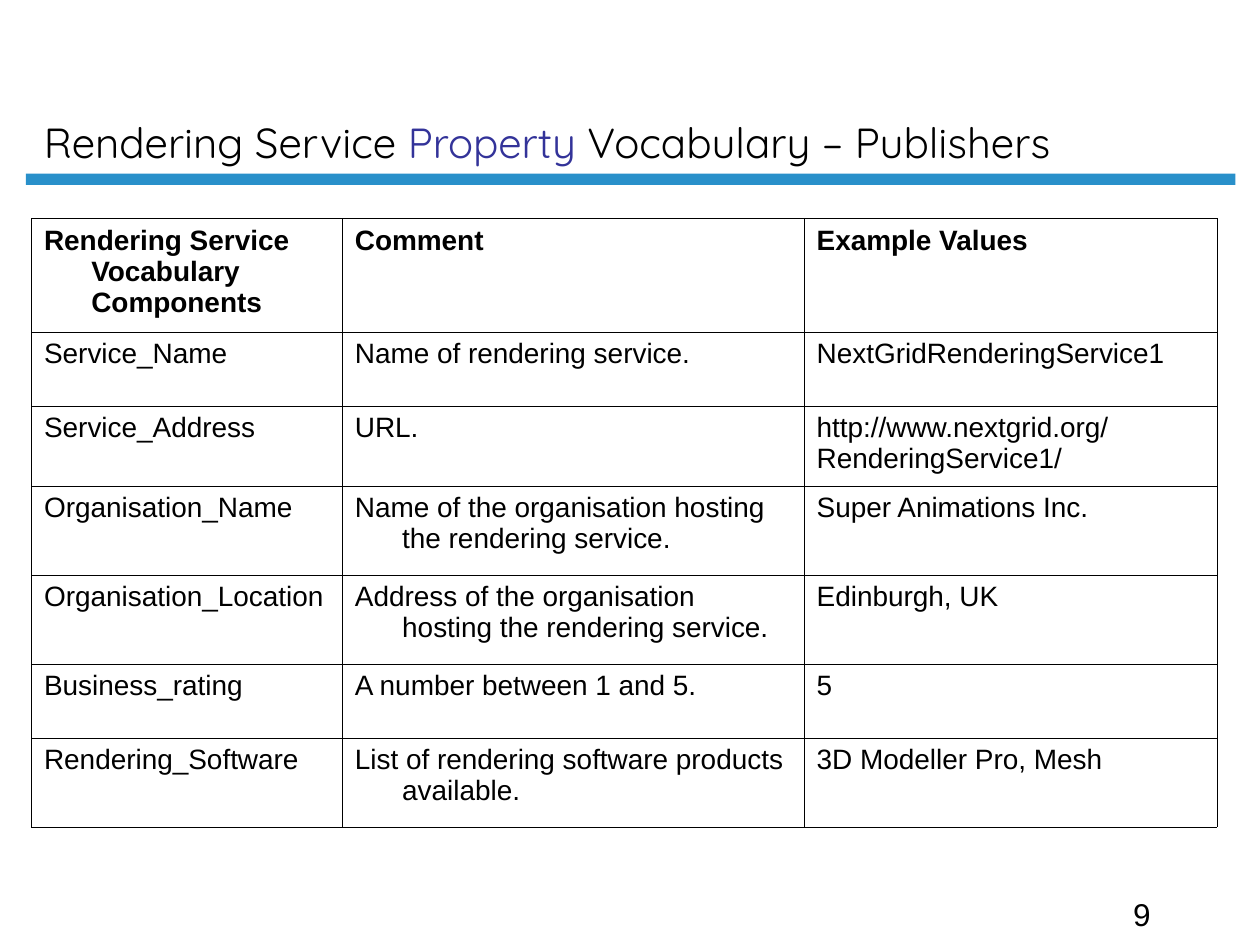
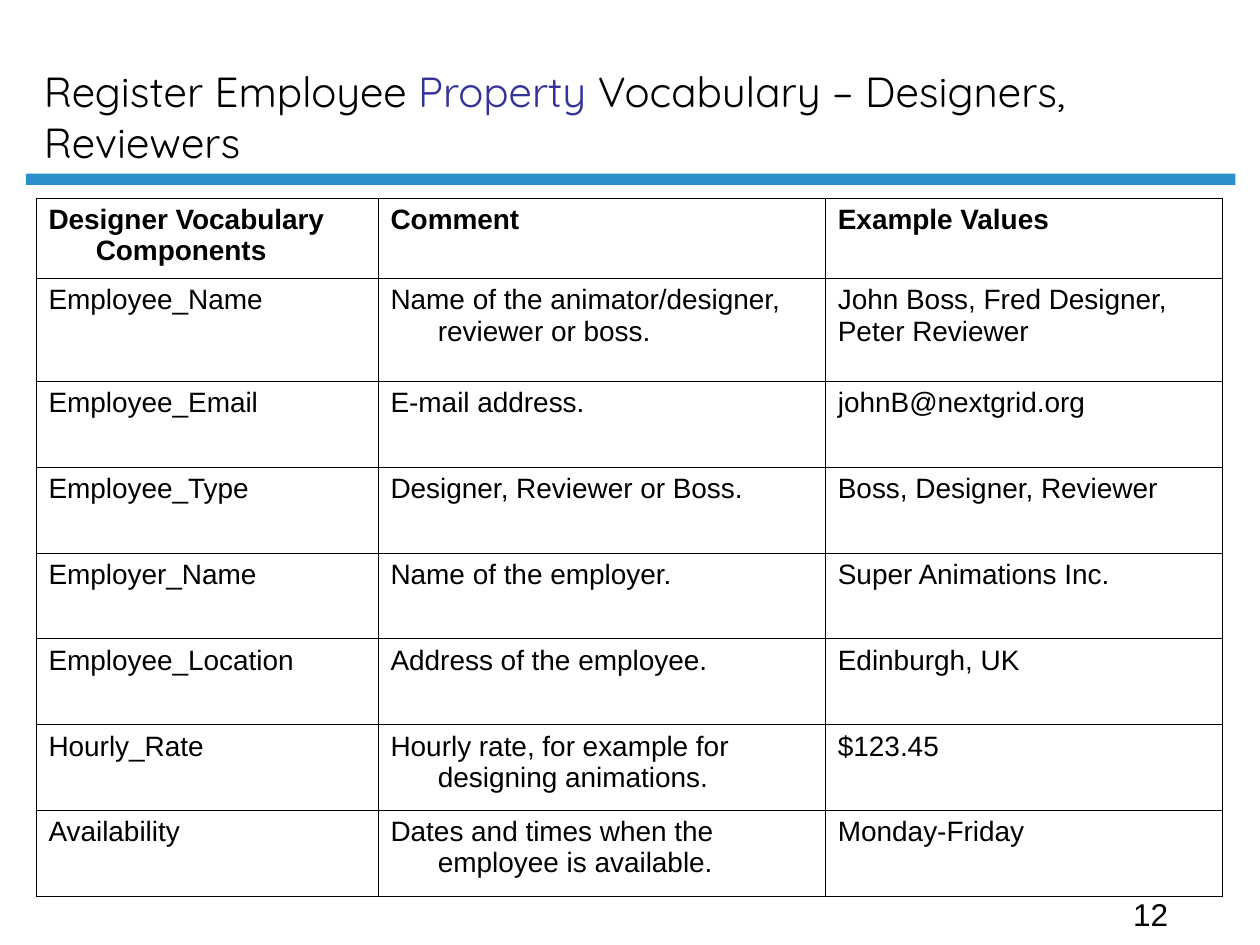
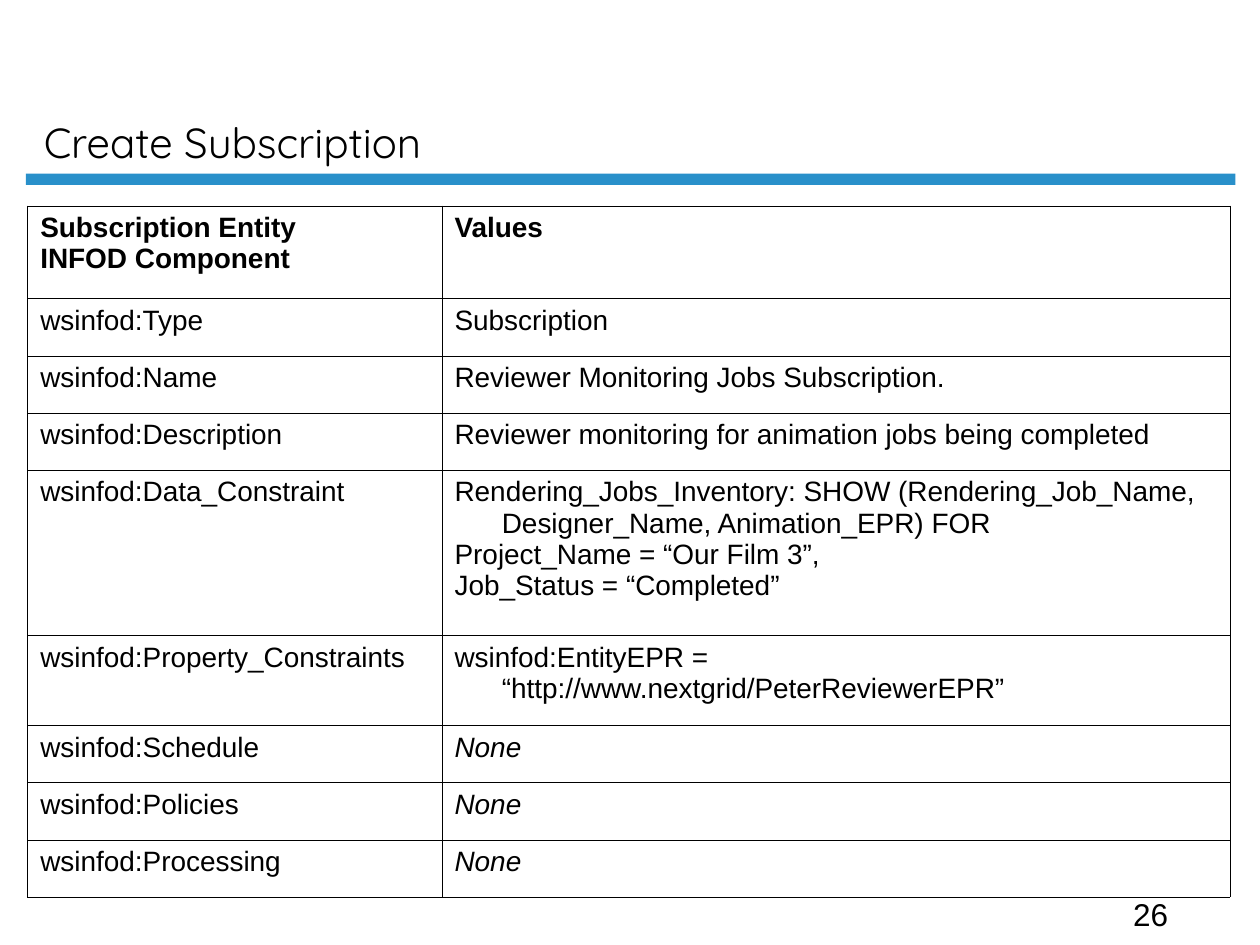
from dataclasses import dataclass

from pptx import Presentation
from pptx.dml.color import RGBColor
from pptx.enum.shapes import MSO_SHAPE
from pptx.enum.text import MSO_ANCHOR
from pptx.oxml import parse_xml
from pptx.oxml.ns import nsdecls
from pptx.util import Inches, Pt


@dataclass(frozen=True)
class Theme:
    ink: str = "000000"
    accent: str = "333399"
    band: str = "2990CA"
    title_font: str = "Quicksand"
    body_font: str = "Arial"
    title_size: float = 24
    body_size: float = 16
    number_size: float = 18
    border: float = 0.45
    hanging: float = 3.75


THEME = Theme()

# The slide is a grid of 100 columns by 75 rows of square units
COLUMNS, ROWS = 100, 75
UNIT = Inches(0.1)


def grid(*units):
    return [round(unit * UNIT) for unit in units]


def set_font(font, face, size, color=THEME.ink):
    font.name = face
    font.size = Pt(size)
    font.color.rgb = RGBColor.from_string(color)


# Shared frame: title, band and page number
def add_text_area(slide, place, anchor=MSO_ANCHOR.TOP):
    frame = slide.shapes.add_textbox(*grid(*place)).text_frame
    frame.word_wrap = True
    frame.vertical_anchor = anchor
    return frame.paragraphs[0]


def add_title(slide, title, keyword):
    heading = add_text_area(slide, (2.5, 1.2, 85.6, 12.5), MSO_ANCHOR.BOTTOM)
    set_font(heading.font, THEME.title_font, THEME.title_size)
    before, found, after = title.partition(keyword) if keyword else (title, "", "")
    for words in filter(None, (before, found, after)):
        run = heading.add_run()
        run.text = words
        color = THEME.accent if words == keyword else THEME.ink
        set_font(run.font, THEME.title_font, THEME.title_size, color)


def add_band(slide):
    band = slide.shapes.add_shape(
        MSO_SHAPE.RECTANGLE, *grid(2.05, 13.77, COLUMNS - 4, 0.9))
    band.shadow.inherit = False
    band.fill.solid()
    band.fill.fore_color.rgb = RGBColor.from_string(THEME.band)
    band.line.fill.background()


def add_page_number(slide, number):
    page = add_text_area(slide, (88.95, ROWS - 4.45, 10, 4))
    page.text = str(number)
    set_font(page.font, THEME.body_font, THEME.number_size)


# Tables
def draw_borders(cell):
    properties = cell._tc.get_or_add_tcPr()
    for position, side in enumerate("LRTB"):
        properties.insert(position, parse_xml(
            f'<a:ln{side} {nsdecls("a")} w="{Pt(THEME.border)}">'
            f'<a:solidFill><a:srgbClr val="{THEME.ink}"/></a:solidFill>'
            f'</a:ln{side}>'))


def fill_cell(cell, text, bold, hanging):
    cell.fill.background()
    draw_borders(cell)
    cell.text = text
    for paragraph in cell.text_frame.paragraphs:
        if hanging:
            indent, = grid(THEME.hanging)
            properties = paragraph._p.get_or_add_pPr()
            properties.set("marL", str(indent))
            properties.set("indent", str(-indent))
        set_font(paragraph.font, THEME.body_font, THEME.body_size)
        paragraph.font.bold = bold
        paragraph.font.italic = text == "None"


def add_vocabulary(slide, corner, widths, heights, entries, plain_column=None):
    place = grid(*corner, sum(widths), sum(heights))
    table = slide.shapes.add_table(len(heights), len(widths), *place).table
    table.first_row = table.horz_banding = False
    for column, width in zip(table.columns, grid(*widths)):
        column.width = width
    for row, height in zip(table.rows, grid(*heights)):
        row.height = height
    for r, entry in enumerate(entries):
        for c, text in enumerate(entry):
            header = r == 0
            fill_cell(table.cell(r, c), text, header, header or c != plain_column)


# Content
RENDERING_SERVICE = [
    ("Rendering Service Vocabulary Components", "Comment", "Example Values"),
    ("Service_Name", "Name of rendering service.", "NextGridRenderingService1"),
    ("Service_Address", "URL.", "http://www.nextgrid.org/RenderingService1/"),
    ("Organisation_Name", "Name of the organisation hosting the rendering service.",
     "Super Animations Inc."),
    ("Organisation_Location",
     "Address of the organisation hosting the rendering service.", "Edinburgh, UK"),
    ("Business_rating", "A number between 1 and 5.", "5"),
    ("Rendering_Software", "List of rendering software products available.",
     "3D Modeller Pro, Mesh"),
]

EMPLOYEE = [
    ("Designer Vocabulary Components", "Comment", "Example Values"),
    ("Employee_Name", "Name of the animator/designer, reviewer or boss.",
     "John Boss, Fred Designer, Peter Reviewer"),
    ("Employee_Email", "E-mail address.", "johnB@nextgrid.org"),
    ("Employee_Type", "Designer, Reviewer or Boss.", "Boss, Designer, Reviewer"),
    ("Employer_Name", "Name of the employer.", "Super Animations Inc."),
    ("Employee_Location", "Address of the employee.", "Edinburgh, UK"),
    ("Hourly_Rate", "Hourly rate, for example for designing animations.", "$123.45"),
    ("Availability", "Dates and times when the employee is available.",
     "Monday-Friday"),
]

SUBSCRIPTION = [
    ("Subscription Entity\nINFOD Component", "Values"),
    ("wsinfod:Type", "Subscription"),
    ("wsinfod:Name", "Reviewer Monitoring Jobs Subscription."),
    ("wsinfod:Description", "Reviewer monitoring for animation jobs being completed"),
    ("wsinfod:Data_Constraint",
     "Rendering_Jobs_Inventory: SHOW (Rendering_Job_Name, "
     "Designer_Name, Animation_EPR) FOR\n"
     "Project_Name = “Our Film 3”,\nJob_Status = “Completed”"),
    ("wsinfod:Property_Constraints",
     "wsinfod:EntityEPR = “http://www.nextgrid/PeterReviewerEPR”"),
    ("wsinfod:Schedule", "None"),
    ("wsinfod:Policies", "None"),
    ("wsinfod:Processing", "None"),
]


def main():
    deck = Presentation()
    deck.slide_width, deck.slide_height = grid(COLUMNS, ROWS)

    def new_slide(title, number, keyword=""):
        slide = deck.slides.add_slide(deck.slide_layouts[6])
        add_band(slide)
        add_page_number(slide, number)
        add_title(slide, title, keyword)
        return slide

    publishers = new_slide(
        "Rendering Service Property Vocabulary – Publishers", 9, "Property")
    add_vocabulary(publishers, (2.5, 17.35), (24.67, 36.65, 32.78),
                   (9, 5.88, 6.37, 7.07, 7.07, 5.85, 7.07),
                   RENDERING_SERVICE, plain_column=2)

    employees = new_slide(
        "Register Employee Property Vocabulary – Designers, Reviewers", 12, "Property")
    add_vocabulary(employees, (2.85, 15.72), (27.15, 35.5, 31.5),
                   (6.38, 8.18, *[6.81] * 6), EMPLOYEE, plain_column=2)

    subscription = new_slide("Create Subscription", 26)
    add_vocabulary(subscription, (2.2, 16.35), (32.88, 62.55),
                   (7.37, *[4.54] * 3, 13.12, 7.13, *[4.54] * 3), SUBSCRIPTION)

    deck.save("out.pptx")


if __name__ == "__main__":
    main()
